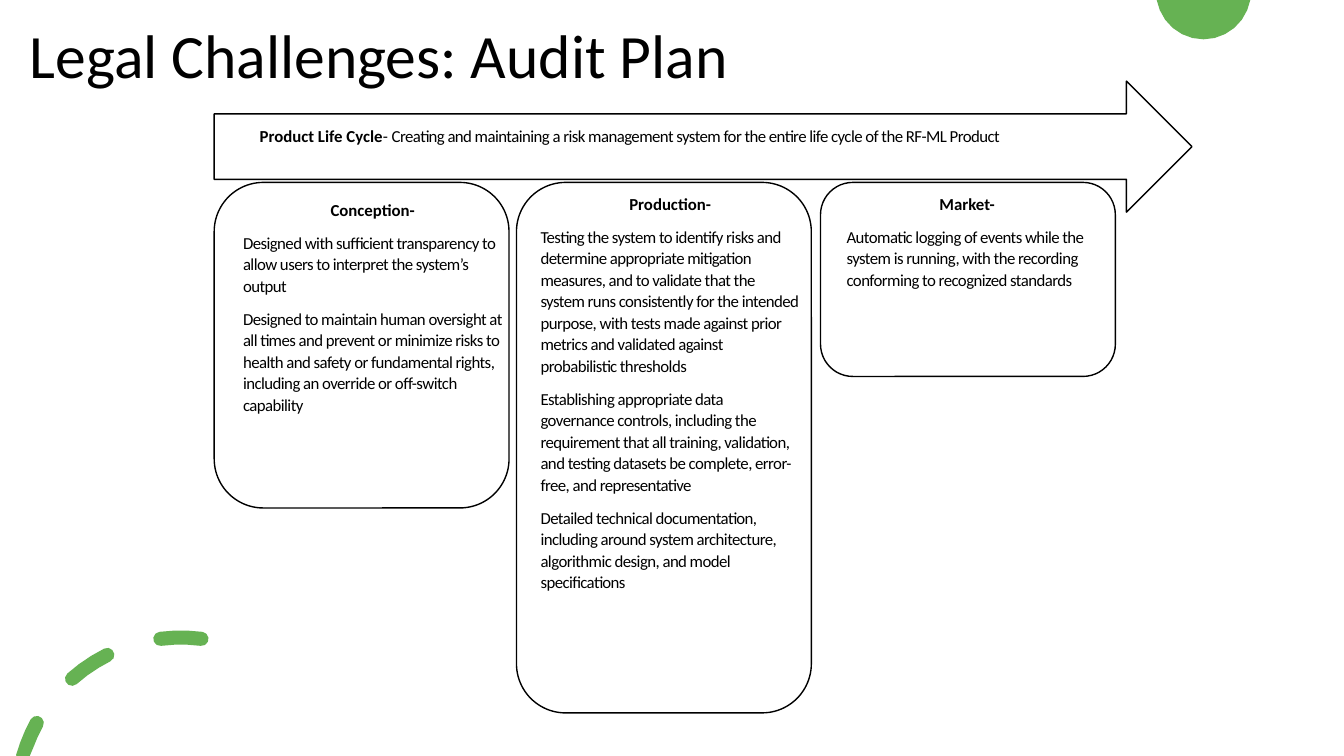
import math
from dataclasses import dataclass

import pptx
import pptx.dml.color
import pptx.enum.shapes
import pptx.enum.text
import pptx.shapes.autoshape
import pptx.slide
import pptx.text.text
import pptx.util

RGBColor = pptx.dml.color.RGBColor
MSO_SHAPE = pptx.enum.shapes.MSO_SHAPE
MSO_ANCHOR = pptx.enum.text.MSO_ANCHOR
MSO_AUTO_SIZE = pptx.enum.text.MSO_AUTO_SIZE
PP_ALIGN = pptx.enum.text.PP_ALIGN

BLACK = RGBColor(0x00, 0x00, 0x00)
WHITE = RGBColor(0xFF, 0xFF, 0xFF)
GREEN = RGBColor(0x66, 0xB2, 0x53)
FONT = "Calibri"
COLS, ROWS = 133.33, 75
CELL = pptx.util.Inches(7.5) / ROWS
TIGHT = -40

Point = tuple[float, float]


@dataclass(frozen=True)
class Box:
    col: float
    row: float
    cols: float
    rows: float

    def emu(self) -> tuple[int, int, int, int]:
        return grid(self.col), grid(self.row), grid(self.cols), grid(self.rows)


@dataclass(frozen=True)
class Stage:
    frame: Box
    note: Box
    heading: str
    duties: tuple[str, ...]


@dataclass(frozen=True)
class Dash:
    start: float
    end: float


STAGES = (
    Stage(Box(21.25, 18.1, 29.25, 32.3), Box(23.13, 19.2, 27.7, 22.6), "Conception-", (
        "Designed with sufficient transparency to allow users to interpret the system’s output",
        "Designed to maintain human oversight at all times and prevent or minimize risks to health "
        "and safety or fundamental rights, including an override or off-switch capability",
    )),
    Stage(Box(51.24, 18.1, 29.25, 52.63), Box(52.64, 18.58, 27.7, 45.3), "Production-", (
        "Testing the system to identify risks and determine appropriate mitigation measures, and to "
        "validate that the system runs consistently for the intended purpose, with tests made "
        "against prior metrics and validated against probabilistic thresholds",
        "Establishing appropriate data governance controls, including the requirement that all "
        "training, validation, and testing datasets be complete, error-free, and representative",
        "Detailed technical documentation, including around system architecture, algorithmic "
        "design, and model specifications",
    )),
    Stage(Box(81.4, 18.1, 29.25, 19.25), Box(83, 18.6, 25.9, 12.8), "Market-", (
        "Automatic logging of events while the system is running, with the recording conforming "
        "to recognized standards",
    )),
)
DASHES = (Dash(-74, -61.3), Dash(-41.5, -26.6), Dash(-7.2, 7.2))
RING_CENTER, RING_RADIUS, DASH_RADIUS = (17.95, 79.55), 16.3, 0.7
DISC_CENTER, DISC_RADIUS = (119.4, -0.8), 4.7


def grid(cells: float) -> int:
    return round(cells * CELL)


def arc(center: Point, radius: float, start: float, end: float, steps: int = 3) -> list[Point]:
    angles = [math.radians(start + (end - start) * i / steps) for i in range(steps + 1)]
    return [(center[0] + radius * math.sin(a), center[1] - radius * math.cos(a)) for a in angles]


def round_cap(angle: float, turn: float) -> list[Point]:
    center = arc(RING_CENTER, RING_RADIUS, angle, angle)[0]
    return arc(center, DASH_RADIUS, angle + turn, angle + turn + 180, 5)[1:-1]


def dash_outline(dash: Dash) -> list[Point]:
    return (
        arc(RING_CENTER, RING_RADIUS + DASH_RADIUS, dash.start, dash.end)
        + round_cap(dash.end, 0)
        + arc(RING_CENTER, RING_RADIUS - DASH_RADIUS, dash.end, dash.start)
        + round_cap(dash.start, 180)
    )


def add_ornament(s: pptx.slide.Slide, outlines: list[list[Point]]) -> None:
    contours = [[(grid(x), grid(min(max(y, 0), ROWS))) for x, y in o] for o in outlines]
    builder = s.shapes.build_freeform(*contours[0][0], scale=1.0)
    builder.add_line_segments(contours[0][1:], close=True)
    for contour in contours[1:]:
        builder.move_to(*contour[0])
        builder.add_line_segments(contour[1:], close=True)
    sp = builder.convert_to_shape()
    sp.shadow.inherit = False
    sp.fill.solid()
    sp.fill.fore_color.rgb = GREEN
    sp.line.fill.background()


def add_shape(s: pptx.slide.Slide, preset: MSO_SHAPE, box: Box,
              line: RGBColor = BLACK, weight: float = 1) -> pptx.shapes.autoshape.Shape:
    sp = s.shapes.add_shape(preset, *box.emu())
    sp.shadow.inherit = False
    sp.fill.solid()
    sp.fill.fore_color.rgb = WHITE
    sp.line.color.rgb = line
    sp.line.width = pptx.util.Pt(weight)
    return sp


def add_run(p: pptx.text.text._Paragraph, text: str, size: float = 12,
            bold: bool = False, tracking: int = 0) -> None:
    r = p.add_run()
    r.text = text
    r.font.name = FONT
    r.font.size = pptx.util.Pt(size)
    r.font.bold = bold
    r.font.color.rgb = BLACK
    if tracking:
        r._r.get_or_add_rPr().set("spc", str(tracking))


def format_paragraph(p: pptx.text.text._Paragraph, align: PP_ALIGN = PP_ALIGN.LEFT) -> None:
    p.alignment = align
    p.line_spacing = 1.07
    p.space_after = pptx.util.Pt(8)


def add_title(s: pptx.slide.Slide) -> None:
    sp = s.shapes.title
    sp.left, sp.top, sp.width, sp.height = Box(1.95, -1.4, 115, 14.5).emu()
    tf = sp.text_frame
    tf.auto_size = MSO_AUTO_SIZE.NONE
    tf.vertical_anchor = MSO_ANCHOR.MIDDLE
    p = tf.paragraphs[0]
    p.alignment = PP_ALIGN.LEFT
    p.line_spacing = 0.9
    add_run(p, "Legal Challenges: Audit Plan", 44)


def add_life_cycle(s: pptx.slide.Slide) -> None:
    add_shape(s, MSO_SHAPE.RIGHT_ARROW, Box(21.25, 8.05, 97, 13))
    label = add_shape(s, MSO_SHAPE.RECTANGLE, Box(24.77, 11.8, 83.8, 5.4), WHITE, 0.75)
    tf = label.text_frame
    tf.word_wrap = True
    tf.vertical_anchor = MSO_ANCHOR.TOP
    p = tf.paragraphs[0]
    format_paragraph(p)
    add_run(p, "Product Life Cycle", bold=True)
    add_run(p, "- ")
    add_run(p, "Creating and maintaining a risk management system for the entire life cycle "
               "of the RF-ML Product", tracking=TIGHT)


def add_note(s: pptx.slide.Slide, stage: Stage) -> None:
    tf = s.shapes.add_textbox(*stage.note.emu()).text_frame
    tf.word_wrap = True
    tf.auto_size = MSO_AUTO_SIZE.SHAPE_TO_FIT_TEXT
    p = tf.paragraphs[0]
    format_paragraph(p, PP_ALIGN.CENTER)
    add_run(p, stage.heading, bold=True)
    for duty in stage.duties:
        p = tf.add_paragraph()
        format_paragraph(p)
        add_run(p, duty, tracking=TIGHT)


def main() -> None:
    prs = pptx.Presentation()
    prs.slide_width, prs.slide_height = grid(COLS), grid(ROWS)
    s = prs.slides.add_slide(prs.slide_layouts[5])
    add_ornament(s, [arc(DISC_CENTER, DISC_RADIUS, 99, 261, 12)])
    add_ornament(s, [dash_outline(dash) for dash in DASHES])
    add_title(s)
    add_life_cycle(s)
    for stage in reversed(STAGES):
        add_shape(s, MSO_SHAPE.ROUNDED_RECTANGLE, stage.frame)
    for stage in STAGES:
        add_note(s, stage)
    prs.save("out.pptx")


if __name__ == "__main__":
    main()
